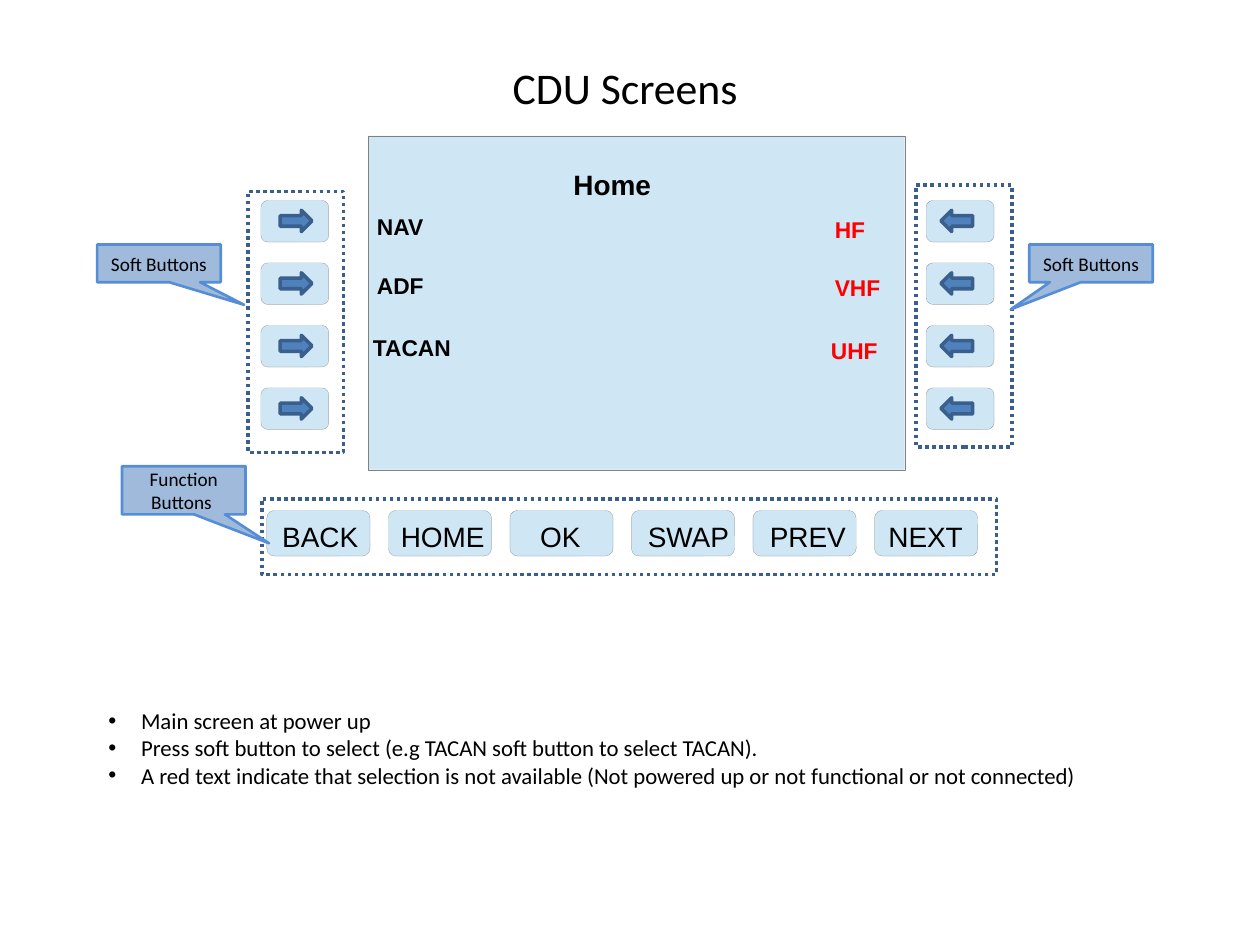
from lxml import etree
from pptx import Presentation
from pptx.dml.color import RGBColor
from pptx.enum import dml, shapes, text
from pptx.oxml import ns
from pptx.util import Cm, Pt

BLACK = RGBColor(0x00, 0x00, 0x00)
RED = RGBColor(0xFF, 0x00, 0x00)
PANEL = RGBColor(0xCF, 0xE7, 0xF5)
GREY = RGBColor(0x80, 0x80, 0x80)
BLUE = RGBColor(0x4F, 0x81, 0xBD)
NAVY = RGBColor(0x3A, 0x5F, 0x8C)
SKY = RGBColor(0x55, 0x8E, 0xD5)
KIND = shapes.MSO_SHAPE
HAIRLINE = 0.1

# All places and sizes are in centimetres.
TITLE = "CDU Screens"
NOTES = [
    "Main screen at power up",
    "Press soft button to select (e.g TACAN soft button to select TACAN).",
    "A red text indicate that selection is not available "
    "(Not powered up or not functional or not connected)",
]
SCREEN = (7.42, 2.74, 10.82, 6.73)
LABEL_HEIGHT = 0.76
SCREEN_LABELS = [  # words, left, top, width, colour
    ("NAV", 7.37, 4.19, 1.55, BLACK),
    ("ADF", 7.37, 5.37, 1.5, BLACK),
    ("TACAN", 7.29, 6.63, 2.1, BLACK),
    ("HF", 16.6, 4.24, 1.25, RED),
    ("VHF", 16.6, 5.41, 1.5, RED),
    ("UHF", 16.52, 6.68, 1.5, RED),
]
SOFT_COLUMNS = [  # button left, arrow left, arrow kind
    (5.26, 5.65, KIND.RIGHT_ARROW),
    (18.67, 18.97, KIND.LEFT_ARROW),
]
SOFT_ROWS, SOFT_TOP, SOFT_PITCH = 4, 4.04, 1.26
KEYS = [  # words, label left, label width
    ("BACK", 5.46, 2.05),
    ("HOME", 7.85, 2.2),
    ("OK", 10.66, 1.4),
    ("SWAP", 12.83, 2.15),
    ("PREV", 15.29, 2.05),
    ("NEXT", 17.68, 2.05),
]
KEY_LEFT, KEY_TOP, KEY_PITCH = 5.38, 10.29, 2.45
FRAMES = [
    (5.0, 3.86, 1.93, 5.26),
    (18.47, 3.73, 1.93, 5.28),
    (5.28, 10.06, 14.81, 1.52),
]
CALLOUTS = [  # words, place, pointer tip
    ("Soft Buttons ", (1.96, 4.93, 2.49, 0.76), (0.69, 1.1)),
    ("Function Buttons ", (2.46, 9.4, 2.49, 0.97), (0.69, 1.1)),
    ("Soft Buttons ", (20.75, 4.93, 2.49, 0.76), (-0.65, 1.22)),
]


def add_span(para, words, size, font="Calibri", color=BLACK, bold=False):
    span = para.add_run()
    span.text = words
    span.font.name = font
    span.font.size = Pt(size)
    span.font.bold = bold
    span.font.color.rgb = color


def add_figure(page, kind, place, fill, line, width):
    figure = page.shapes.add_shape(kind, *map(Cm, place))
    figure.shadow.inherit = False
    if fill is None:
        figure.fill.background()
    else:
        figure.fill.solid()
        figure.fill.fore_color.rgb = fill
    figure.line.color.rgb = line
    figure.line.width = Pt(width)
    return figure


def add_label(page, words, place, size, color=BLACK, bold=False):
    frame = page.shapes.add_textbox(*map(Cm, place)).text_frame
    frame.word_wrap = False
    frame.auto_size = text.MSO_AUTO_SIZE.SHAPE_TO_FIT_TEXT
    frame.margin_left = Cm(0.23)
    frame.margin_right = frame.margin_top = frame.margin_bottom = Cm(0.1)
    add_span(frame.paragraphs[0], words, size, "Arial", color, bold)


def move(box, left, top, width, height):
    box.left, box.top = Cm(left), Cm(top)
    box.width, box.height = Cm(width), Cm(height)


def add_title_and_notes(page):
    title, body = page.placeholders
    move(title, 1.17, 1.09, 22.86, 2.39)
    title.text_frame.vertical_anchor = text.MSO_ANCHOR.TOP
    add_span(title.text_frame.paragraphs[0], TITLE, 25)

    move(body, 1.93, 14.12, 20.42, 3.02)
    frame = body.text_frame
    frame.word_wrap = False
    for number, words in enumerate(NOTES):
        para = frame.add_paragraph() if number else frame.paragraphs[0]
        para.space_before = Pt(0)
        indent = para._p.get_or_add_pPr()
        indent.set("marL", str(Cm(0.66)))
        indent.set("indent", str(-Cm(0.66)))
        add_span(para, words, 13)


def add_screen(page):
    add_figure(page, KIND.RECTANGLE, SCREEN, PANEL, GREY, HAIRLINE)
    add_label(page, "Home", (11.33, 3.28, 2.1, 0.89), 16, bold=True)
    for words, left, top, width, color in SCREEN_LABELS:
        add_label(page, words, (left, top, width, LABEL_HEIGHT), 13, color, True)


def add_buttons(page):
    for left, arrow_left, arrow in SOFT_COLUMNS:
        for row in range(SOFT_ROWS):
            top = SOFT_TOP + row * SOFT_PITCH
            add_figure(page, KIND.ROUNDED_RECTANGLE, (left, top, 1.37, 0.84),
                       PANEL, GREY, HAIRLINE)
            add_figure(page, arrow, (arrow_left, top + 0.2, 0.64, 0.43),
                       BLUE, NAVY, 2)
    for column, (words, label_left, width) in enumerate(KEYS):
        left = KEY_LEFT + column * KEY_PITCH
        add_figure(page, KIND.ROUNDED_RECTANGLE, (left, KEY_TOP, 2.08, 0.92),
                   PANEL, GREY, HAIRLINE)
        add_label(page, words, (label_left, KEY_TOP + 0.09, width, 0.89), 16)
    for place in FRAMES:
        frame = add_figure(page, KIND.RECTANGLE, place, None, NAVY, 2)
        frame.line.dash_style = dml.MSO_LINE.ROUND_DOT


def add_callouts(page):
    for words, place, tip in CALLOUTS:
        callout = add_figure(page, KIND.RECTANGULAR_CALLOUT, place, BLUE, SKY, 1.5)
        callout.adjustments[0], callout.adjustments[1] = tip
        color = callout._element.spPr.find(ns.qn("a:solidFill"))[0]
        etree.SubElement(color, ns.qn("a:alpha"), val="54000")
        para = callout.text_frame.paragraphs[0]
        para.alignment = text.PP_ALIGN.CENTER
        add_span(para, words, 11)


def main():
    deck = Presentation()
    deck.slide_width, deck.slide_height = Cm(25.4), Cm(19.05)
    page = deck.slides.add_slide(deck.slide_layouts[1])
    add_title_and_notes(page)
    add_screen(page)
    add_buttons(page)
    add_callouts(page)
    deck.save("out.pptx")


if __name__ == "__main__":
    main()
